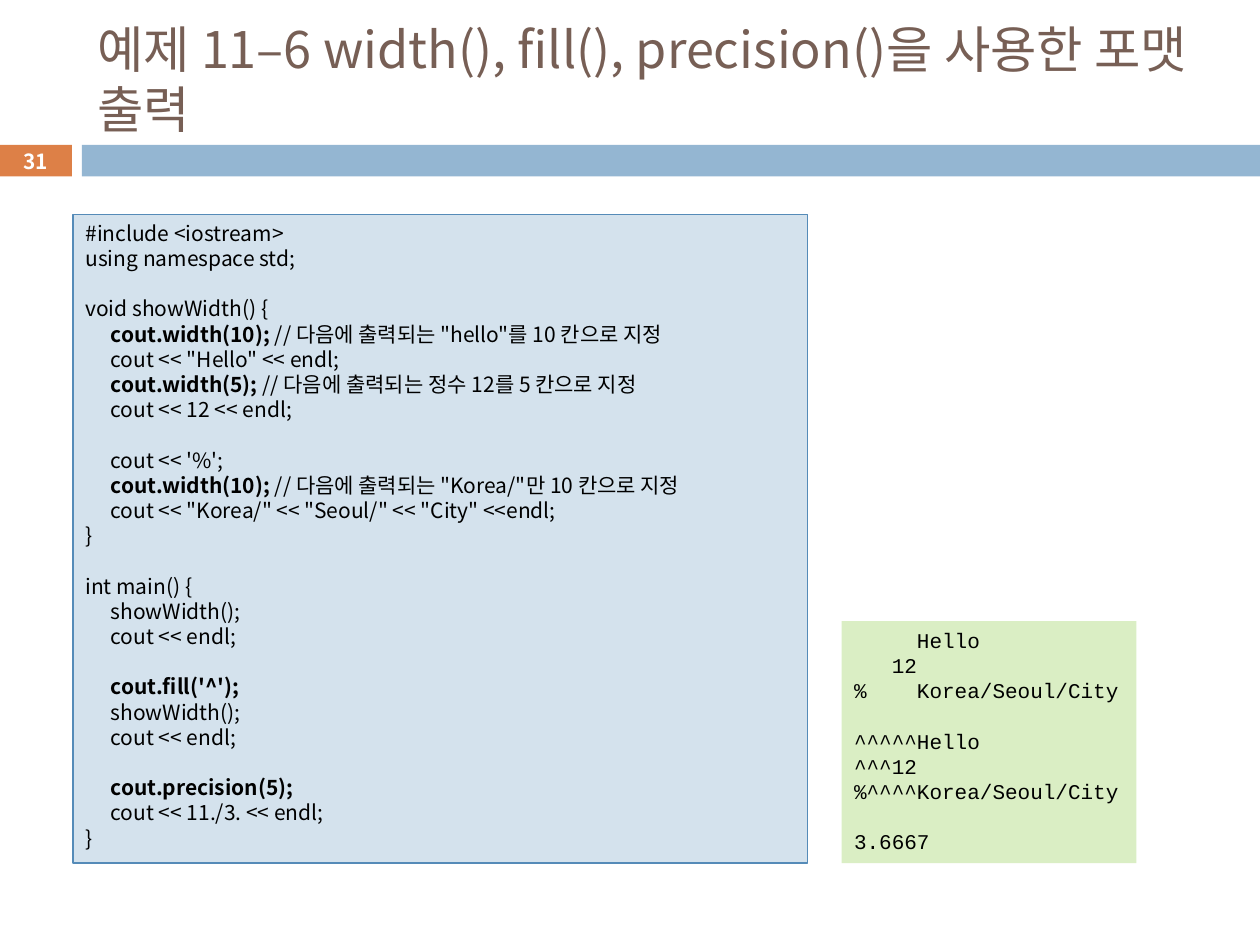
from dataclasses import dataclass

import pptx
import pptx.dml.color
import pptx.enum.shapes
import pptx.enum.text
import pptx.oxml.ns
import pptx.util
from lxml import etree
from pptx.util import Inches

ALIGN = pptx.enum.text.PP_ALIGN
ANCHOR = pptx.enum.text.MSO_ANCHOR


@dataclass(frozen=True)
class Theme:
    font: str = "Noto Sans CJK KR"
    mono: str = "Courier New"
    title: str = "775F55"
    accent: str = "DD8047"
    band: str = "94B6D2"
    code_fill: str = "D4E2ED"
    code_line: str = "558BB8"
    output_fill: str = "DAEEC4"
    ink: str = "000000"
    white: str = "FFFFFF"
    title_size: float = 28.8
    number_size: float = 11.9
    body_size: float = 12
    line_ratio: float = 1.2


THEME = Theme()

# Each ** pair encloses the calls shown in bold
CODE = """#include <iostream>
using namespace std;

void showWidth() {
\t**cout.width(10); **// 다음에 출력되는 "hello"를 10 칸으로 지정
\tcout << "Hello" << endl;
\t**cout.width(5); **// 다음에 출력되는 정수 12를 5 칸으로 지정
\tcout << 12 << endl;

\tcout << '%';
\t**cout.width(10); **// 다음에 출력되는 "Korea/"만 10 칸으로 지정
\tcout << "Korea/" << "Seoul/" << "City" <<endl;
}

int main() {
\tshowWidth();
\tcout << endl;

\t**cout.fill('^');**
\tshowWidth();
\tcout << endl;

\t**cout.precision(5);**
\tcout << 11./3. << endl;
}"""

OUTPUT = """     Hello
   12
%    Korea/Seoul/City

^^^^^Hello
^^^12
%^^^^Korea/Seoul/City

3.6667"""


def rgb(value):
    return pptx.dml.color.RGBColor.from_string(value)


def add_tab_stop(paragraph, position):
    properties = paragraph._p.get_or_add_pPr()
    tabs = etree.SubElement(properties, pptx.oxml.ns.qn("a:tabLst"))
    etree.SubElement(tabs, pptx.oxml.ns.qn("a:tab"), pos=str(position), algn="l")


def add_run(paragraph, text, font, size, color, bold):
    run = paragraph.add_run()
    run.text = text
    run.font.name = font
    run.font.size = pptx.util.Pt(size)
    run.font.bold = bold
    run.font.color.rgb = rgb(color)
    # Hangul takes its typeface from the East Asian font
    east_asian = etree.SubElement(run.font._element, pptx.oxml.ns.qn("a:ea"))
    east_asian.set("typeface", font)


def write_text(shape, text, *, size, color, font=THEME.font, bold=False,
               align=ALIGN.LEFT, anchor=ANCHOR.TOP, wrap=True, tab=None):
    """Write lines of text; an empty line becomes space before the next one."""
    frame = shape.text_frame
    frame.word_wrap = wrap
    frame.vertical_anchor = anchor
    frame.margin_left = frame.margin_right = Inches(0.1)
    frame.margin_top = frame.margin_bottom = Inches(0.05)
    line_height = pptx.util.Pt(size * THEME.line_ratio)
    paragraph, gap = None, 0
    for line in text.split("\n"):
        if not line:
            gap += line_height
            continue
        paragraph = frame.add_paragraph() if paragraph else frame.paragraphs[0]
        paragraph.alignment = align
        paragraph.line_spacing = line_height
        paragraph.space_before = pptx.util.Emu(gap)
        gap = 0
        if tab:
            add_tab_stop(paragraph, tab)
        for index, part in enumerate(line.split("**")):
            if part:
                add_run(paragraph, part, font, size, color, bold or index % 2 == 1)


def add_box(slide, left, top, width, height, fill, line=None):
    shape = slide.shapes.add_shape(
        pptx.enum.shapes.MSO_SHAPE.RECTANGLE,
        Inches(left), Inches(top), Inches(width), Inches(height))
    shape.shadow.inherit = False
    shape.fill.solid()
    shape.fill.fore_color.rgb = rgb(fill)
    if line:
        shape.line.color.rgb = rgb(line)
        shape.line.width = pptx.util.Pt(0.75)
    else:
        shape.line.fill.background()
    return shape


def set_title(slide, text):
    title = slide.shapes.title
    title.left, title.top = Inches(0.67), Inches(0.25)
    title.width, title.height = Inches(8.92), Inches(0.74)
    write_text(title, text, size=THEME.title_size, color=THEME.title,
               anchor=ANCHOR.MIDDLE)
    title.text_frame.auto_size = pptx.enum.text.MSO_AUTO_SIZE.NONE


def main():
    presentation = pptx.Presentation()
    presentation.slide_width, presentation.slide_height = Inches(10), Inches(7.5)
    slide = presentation.slides.add_slide(presentation.slide_layouts[5])

    # Title and the band with the slide number
    set_title(slide, "예제 11–6 width(), fill(), precision()을 사용한 포맷 출력")
    number = add_box(slide, -0.01, 1.15, 0.58, 0.25, THEME.accent)
    write_text(number, "31", size=THEME.number_size, color=THEME.white, bold=True,
               align=ALIGN.CENTER, anchor=ANCHOR.MIDDLE)
    add_box(slide, 0.65, 1.15, 9.35, 0.25, THEME.band)

    # Program listing
    code = add_box(slide, 0.58, 1.7, 5.83, 5.15, THEME.code_fill, THEME.code_line)
    write_text(code, CODE, size=THEME.body_size, color=THEME.ink, tab=Inches(0.2))

    # Program output
    output = add_box(slide, 6.68, 4.93, 2.34, 1.92, THEME.output_fill)
    write_text(output, OUTPUT, size=THEME.body_size, color=THEME.ink,
               font=THEME.mono, wrap=False)

    presentation.save("out.pptx")


if __name__ == "__main__":
    main()
